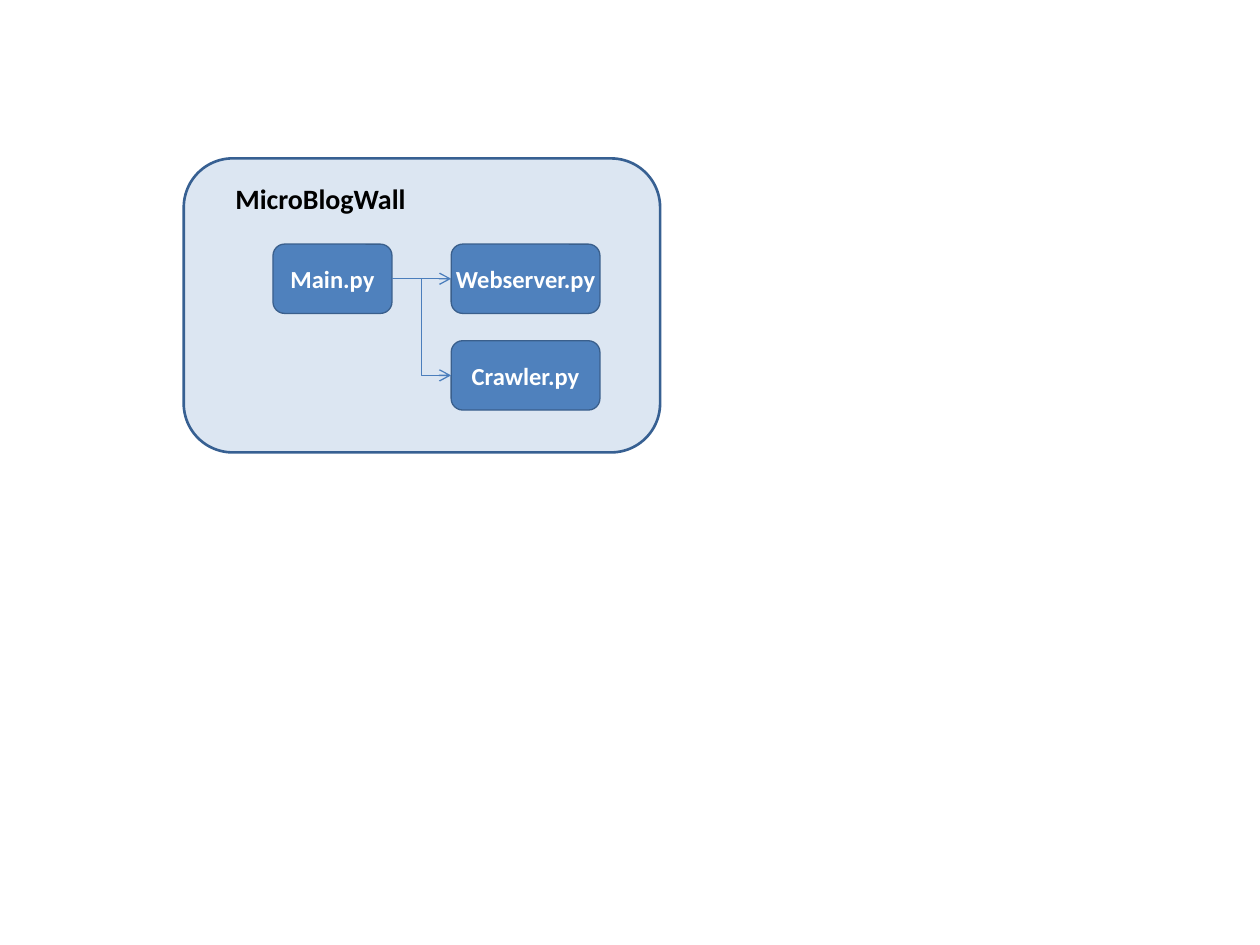
import dataclasses

import lxml.etree
import pptx
import pptx.dml.color
import pptx.enum.shapes
import pptx.enum.text
import pptx.oxml.ns
import pptx.util
from pptx.util import Pt


@dataclasses.dataclass(frozen=True)
class Theme:
    font: str = "Calibri"
    heading_size: float = 16
    module_size: float = 14
    heading_text: str = "000000"
    module_text: str = "FFFFFF"
    panel_fill: str = "DCE6F2"
    panel_line: str = "376092"
    module_fill: str = "4F81BD"
    module_line: str = "3A5F8C"
    arrow: str = "4B7EBC"
    panel_weight: float = 1.5
    thin_weight: float = 0.75


@dataclasses.dataclass(frozen=True)
class Area:
    left: float
    top: float
    width: float
    height: float

    def lengths(self) -> tuple:
        return tuple(Pt(value) for value in dataclasses.astuple(self))


@dataclasses.dataclass(frozen=True)
class Module:
    name: str
    area: Area


THEME = Theme()
MODULE_HEIGHT = 39.6
FIRST_ROW = 139.5
SECOND_ROW = 194.7
TARGET_LEFT = 257.8
TARGET_WIDTH = 85
PANEL = Area(105, 90.5, 272.2, 168)
HEADING = Area(127.5, 100.2, 124.5, 26.6)
MAIN = Module("Main.py", Area(156, FIRST_ROW, 68, MODULE_HEIGHT))
CRAWLER = Module("Crawler.py", Area(TARGET_LEFT, SECOND_ROW, TARGET_WIDTH, MODULE_HEIGHT))
WEBSERVER = Module("Webserver.py", Area(TARGET_LEFT, FIRST_ROW, TARGET_WIDTH, MODULE_HEIGHT))
RIGHT_SIDE = 3
LEFT_SIDE = 1


def color(value: str) -> pptx.dml.color.RGBColor:
    return pptx.dml.color.RGBColor.from_string(value)


def add_span(para, text: str, size: float, text_color: str) -> None:
    span = para.add_run()
    span.text = text
    span.font.name = THEME.font
    span.font.size = Pt(size)
    span.font.bold = True
    span.font.color.rgb = color(text_color)


def add_rounded_box(page, area: Area, fill: str, line: str, weight: float):
    box = page.shapes.add_shape(
        pptx.enum.shapes.MSO_SHAPE.ROUNDED_RECTANGLE, *area.lengths()
    )
    box.shadow.inherit = False
    box.fill.solid()
    box.fill.fore_color.rgb = color(fill)
    box.line.color.rgb = color(line)
    box.line.width = Pt(weight)
    return box


def add_heading(page, text: str) -> None:
    box = page.shapes.add_textbox(*HEADING.lengths())
    frame = box.text_frame
    frame.word_wrap = True
    frame.auto_size = pptx.enum.text.MSO_AUTO_SIZE.SHAPE_TO_FIT_TEXT
    add_span(frame.paragraphs[0], text, THEME.heading_size, THEME.heading_text)


def add_module(page, module: Module):
    box = add_rounded_box(
        page, module.area, THEME.module_fill, THEME.module_line, THEME.thin_weight
    )
    frame = box.text_frame
    frame.word_wrap = True
    frame.vertical_anchor = pptx.enum.text.MSO_ANCHOR.MIDDLE
    frame.margin_left = frame.margin_right = Pt(0)
    frame.margin_top = frame.margin_bottom = Pt(0)
    para = frame.paragraphs[0]
    para.alignment = pptx.enum.text.PP_ALIGN.CENTER
    add_span(para, module.name, THEME.module_size, THEME.module_text)
    return box


def add_arrow(page, kind: pptx.enum.shapes.MSO_CONNECTOR, source, target) -> None:
    arrow = page.shapes.add_connector(kind, Pt(0), Pt(0), Pt(0), Pt(0))
    arrow.begin_connect(source, RIGHT_SIDE)
    arrow.end_connect(target, LEFT_SIDE)
    arrow.line.color.rgb = color(THEME.arrow)
    arrow.line.width = Pt(THEME.thin_weight)
    qualify = pptx.oxml.ns.qn
    properties = arrow.element.spPr
    outline = properties.find(qualify("a:ln"))
    lxml.etree.SubElement(outline, qualify("a:tailEnd"), type="arrow")
    lxml.etree.SubElement(properties, qualify("a:effectLst"))


def main() -> None:
    deck = pptx.Presentation()
    deck.slide_width = Pt(720)
    deck.slide_height = Pt(540)
    page = deck.slides.add_slide(deck.slide_layouts[6])
    add_rounded_box(page, PANEL, THEME.panel_fill, THEME.panel_line, THEME.panel_weight)
    add_heading(page, "MicroBlogWall")
    main_box, crawler_box, webserver_box = (
        add_module(page, module) for module in (MAIN, CRAWLER, WEBSERVER)
    )
    connectors = pptx.enum.shapes.MSO_CONNECTOR
    add_arrow(page, connectors.ELBOW, main_box, crawler_box)
    add_arrow(page, connectors.STRAIGHT, main_box, webserver_box)
    deck.save("out.pptx")


if __name__ == "__main__":
    main()
